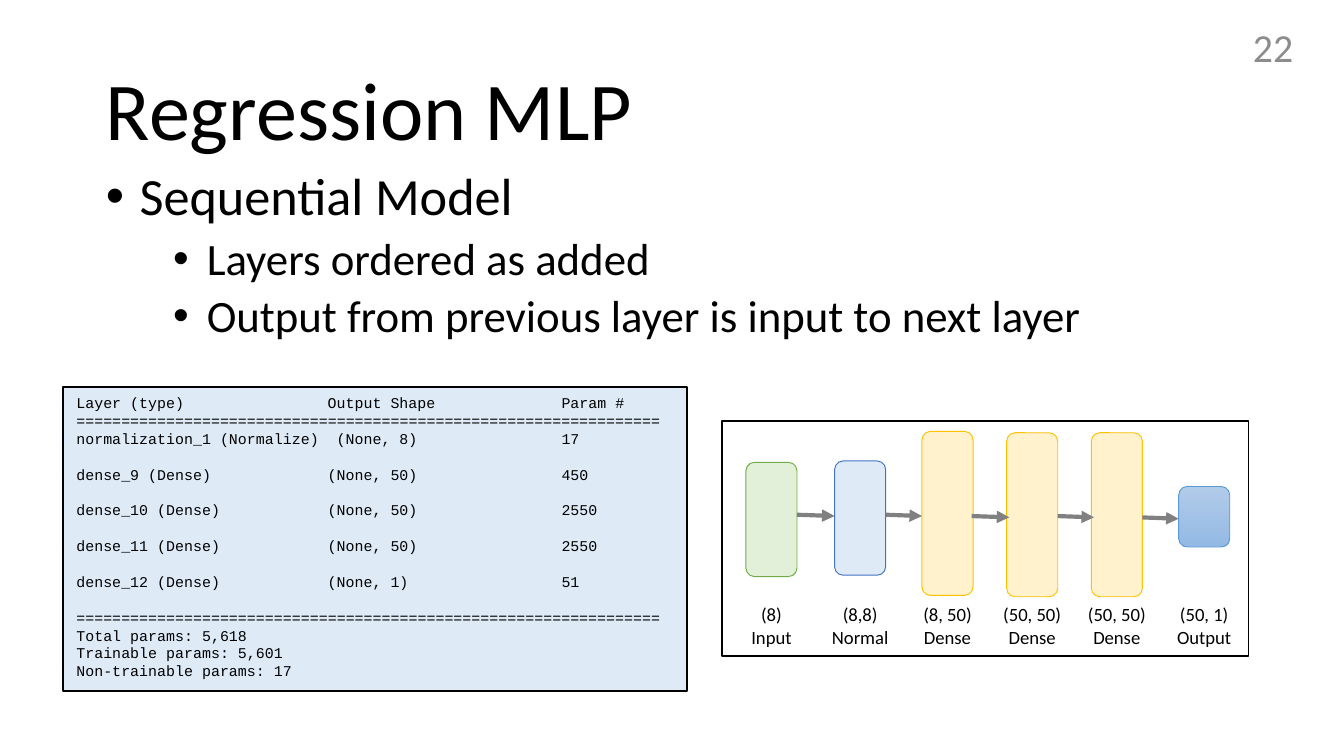
import pptx
import pptx.util
import pptx.dml.color
import pptx.enum.shapes
import pptx.enum.text
import pptx.oxml.ns
import lxml.etree

Inches = pptx.util.Inches
Pt = pptx.util.Pt
RGBColor = pptx.dml.color.RGBColor
MSO_SHAPE = pptx.enum.shapes.MSO_SHAPE
ANCHOR = pptx.enum.text.MSO_ANCHOR
ALIGN = pptx.enum.text.PP_ALIGN
qn = pptx.oxml.ns.qn

BLACK = RGBColor(0x00, 0x00, 0x00)
WHITE = RGBColor(0xFF, 0xFF, 0xFF)
NUMBER_GRAY = RGBColor(0x8C, 0x8C, 0x8C)
ARROW_GRAY = RGBColor(0x80, 0x80, 0x80)
PALE_BLUE = RGBColor(0xDE, 0xEB, 0xF7)
BLUE = RGBColor(0x44, 0x72, 0xC4)
PALE_GREEN = RGBColor(0xE2, 0xF0, 0xD9)
GREEN = RGBColor(0x70, 0xAD, 0x47)
PALE_YELLOW = RGBColor(0xFF, 0xF2, 0xCC)
YELLOW = RGBColor(0xFF, 0xC0, 0x00)
OUTPUT_BLUE = RGBColor(0x5B, 0x9B, 0xD5)
GRADIENT_TOP = RGBColor(0xB1, 0xCB, 0xE9)
GRADIENT_BOTTOM = RGBColor(0x93, 0xB9, 0xE4)

# A 16:9 slide
presentation = pptx.Presentation()
presentation.slide_width = Inches(10)
presentation.slide_height = Inches(10 * 9 / 16)
slide = presentation.slides.add_slide(presentation.slide_layouts[6])


def add_box(preset, left, top, width, height, fill, line, line_width):
    shape = slide.shapes.add_shape(
        preset, Inches(left), Inches(top), Inches(width), Inches(height))
    shape.shadow.inherit = False
    shape.fill.solid()
    shape.fill.fore_color.rgb = fill
    shape.line.color.rgb = line
    shape.line.width = Pt(line_width)
    return shape


def write_lines(frame, lines, size, font="Calibri", color=BLACK, align=ALIGN.LEFT):
    """Fill the frame with one paragraph per line and return the paragraphs."""
    frame.word_wrap = True
    for index, line in enumerate(lines):
        paragraph = frame.add_paragraph() if index else frame.paragraphs[0]
        paragraph.alignment = align
        run = paragraph.add_run()
        run.text = line
        run.font.size = Pt(size)
        run.font.name = font
        run.font.color.rgb = color
    return frame.paragraphs


# Title and slide number
title = slide.shapes.add_textbox(Inches(0.69), Inches(0.3), Inches(8.62), Inches(1.09))
title.text_frame.vertical_anchor = ANCHOR.MIDDLE
write_lines(title.text_frame, ["Regression MLP"], 44)[0].line_spacing = 0.9

number = slide.shapes.add_textbox(Inches(7.47), Inches(0.2), Inches(2.25), Inches(0.3))
number.text_frame.vertical_anchor = ANCHOR.MIDDLE
write_lines(number.text_frame, ["22"], 21.3, color=NUMBER_GRAY, align=ALIGN.RIGHT)

# Bullets
body = slide.shapes.add_textbox(Inches(0.69), Inches(1.22), Inches(8.52), Inches(1.52))
bullets = write_lines(body.text_frame, [
    "Sequential Model",
    "Layers ordered as added",
    "Output from previous layer is input to next layer",
], 28)
for index, paragraph in enumerate(bullets):
    paragraph.line_spacing = 0.9
    if index:
        paragraph.level = 1
        paragraph.space_before = Pt(5)
        paragraph.runs[0].font.size = Pt(24)
    properties = paragraph._p.get_or_add_pPr()
    properties.set("marL", str(Inches(0.75 if index else 0.25)))
    properties.set("indent", str(Inches(-0.25)))
    bullet_font = lxml.etree.SubElement(properties, qn("a:buFont"))
    bullet_font.set("typeface", "Arial")
    lxml.etree.SubElement(properties, qn("a:buChar")).set("char", "•")

# Model summary, with columns on tab stops
RULE = "=" * 65
LINE_HEIGHT = 9.58
summary_lines = [
    "Layer (type)\tOutput Shape\tParam #",
    RULE,
    "normalization_1 (Normalize)\t (None, 8)\t17",
    "dense_9 (Dense)\t(None, 50)\t450",
    "dense_10 (Dense)\t(None, 50)\t2550",
    "dense_11 (Dense)\t(None, 50)\t2550",
    "dense_12 (Dense)\t(None, 1)\t51",
    RULE,
    "Total params: 5,618",
    "Trainable params: 5,601",
    "Non-trainable params: 17",
]
summary = add_box(MSO_SHAPE.RECTANGLE, 0.47, 2.88, 4.64, 2.26, PALE_BLUE, BLACK, 1)
summary.text_frame.vertical_anchor = ANCHOR.TOP
rows = write_lines(summary.text_frame, summary_lines, 8, "Courier New")
for index, paragraph in enumerate(rows):
    paragraph.line_spacing = Pt(LINE_HEIGHT)
    if 3 <= index <= 7:
        paragraph.space_before = Pt(LINE_HEIGHT)
    tabs = lxml.etree.SubElement(paragraph._p.get_or_add_pPr(), qn("a:tabLst"))
    for position in (1.87, 3.61):
        tab = lxml.etree.SubElement(tabs, qn("a:tab"))
        tab.set("pos", str(Inches(position)))
        tab.set("algn", "l")

# Network diagram: left, top, height, fill, line, shape, name
add_box(MSO_SHAPE.RECTANGLE, 5.37, 3.13, 3.92, 1.75, WHITE, BLACK, 1)
LAYER_WIDTH = 0.38
LABEL_WIDTH = 0.6
layers = [
    (5.55, 3.44, 0.85, PALE_GREEN, GREEN, "(8)", "Input"),
    (6.21, 3.43, 0.85, PALE_BLUE, BLUE, "(8,8)", "Normal"),
    (6.86, 3.21, 1.22, PALE_YELLOW, YELLOW, "(8, 50)", "Dense"),
    (7.49, 3.22, 1.22, PALE_YELLOW, YELLOW, "(50, 50)", "Dense"),
    (8.12, 3.22, 1.22, PALE_YELLOW, YELLOW, "(50, 50)", "Dense"),
    (8.77, 3.62, 0.45, GRADIENT_TOP, OUTPUT_BLUE, "(50, 1)", "Output"),
]
for left, top, height, fill, line, size_text, name in layers:
    layer_box = add_box(
        MSO_SHAPE.ROUNDED_RECTANGLE, left, top, LAYER_WIDTH, height, fill, line, 0.5)
    if name == "Output":
        layer_box.fill.gradient()
        layer_box.fill.gradient_angle = 270
        stops = layer_box.fill.gradient_stops
        for stop, color in zip(stops, (GRADIENT_TOP, GRADIENT_BOTTOM)):
            stop.color.rgb = color
    label = slide.shapes.add_textbox(
        Inches(left + (LAYER_WIDTH - LABEL_WIDTH) / 2), Inches(4.47),
        Inches(LABEL_WIDTH), Inches(0.37))
    frame = label.text_frame
    frame.margin_left = frame.margin_right = frame.margin_top = frame.margin_bottom = 0
    frame.vertical_anchor = ANCHOR.MIDDLE
    write_lines(frame, [size_text, name], 10, align=ALIGN.CENTER)

# Arrows between layers: start, end and height; each drops slightly
ARROW_DROP = 0.01
arrows = [
    (5.93, 6.21, 3.83),
    (6.59, 6.86, 3.83),
    (7.23, 7.51, 3.84),
    (7.87, 8.14, 3.84),
    (8.5, 8.77, 3.85),
]
for start, end, height in arrows:
    arrow = slide.shapes.add_connector(
        pptx.enum.shapes.MSO_CONNECTOR.STRAIGHT,
        Inches(start), Inches(height), Inches(end), Inches(height + ARROW_DROP))
    arrow.line.color.rgb = ARROW_GRAY
    arrow.line.width = Pt(2.25)
    arrow_line = arrow.line._get_or_add_ln()
    lxml.etree.SubElement(arrow_line, qn("a:tailEnd")).set("type", "triangle")
    lxml.etree.SubElement(arrow._element.spPr, qn("a:effectLst"))

presentation.save("out.pptx")
